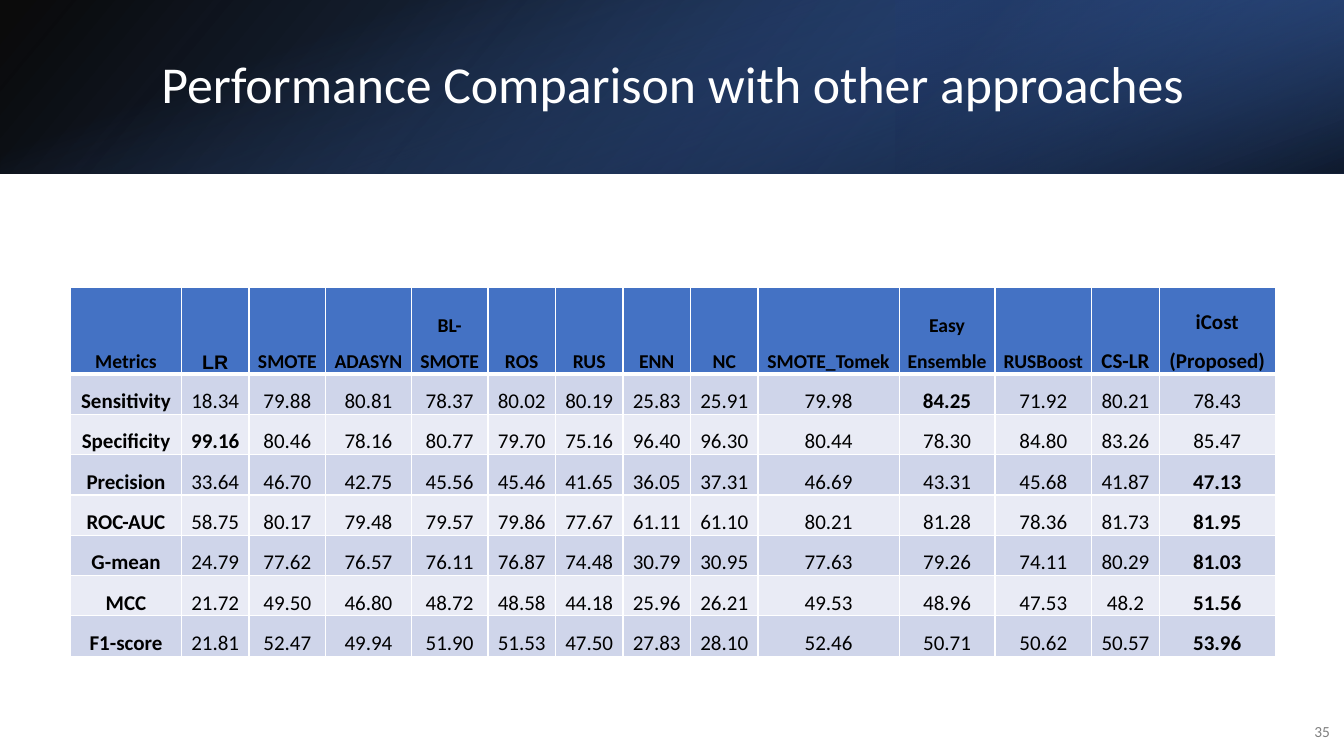
from lxml.etree import SubElement
from pptx import Presentation
from pptx.dml.color import RGBColor
from pptx.enum.shapes import MSO_SHAPE
from pptx.enum.text import MSO_ANCHOR, PP_ALIGN
from pptx.oxml.ns import qn
from pptx.util import Inches, Pt

COLORS = {
    "white": "FFFFFF",
    "black": "000000",
    "gray": "808080",
    "blue": "4472C4",
    "deep_blue": "2F5597",
    "navy": "203864",
    "band_dark": "CFD5EA",
    "band_light": "E9EBF5",
}
SLIDE_WIDTH, SLIDE_HEIGHT = 13.33, 7.5
BANNER_HEIGHT = 1.72

HEADERS = [
    "Metrics", "LR", "SMOTE", "ADASYN", "BL-SMOTE", "ROS", "RUS", "ENN", "NC",
    "SMOTE_Tomek", "Easy Ensemble", "RUSBoost", "CS-LR", "iCost (Proposed)",
]
COLUMN_WIDTHS = [1.1, 0.67, 0.76, 0.85, 0.76, 0.67, 0.67, 0.67, 0.67, 1.4, 0.95, 0.96, 0.67, 1.15]
HEADER_HEIGHT, ROW_HEIGHT = 0.86, 0.4
RESULTS = {
    "Sensitivity": "18.34 79.88 80.81 78.37 80.02 80.19 25.83 25.91 79.98 84.25 71.92 80.21 78.43",
    "Specificity": "99.16 80.46 78.16 80.77 79.70 75.16 96.40 96.30 80.44 78.30 84.80 83.26 85.47",
    "Precision": "33.64 46.70 42.75 45.56 45.46 41.65 36.05 37.31 46.69 43.31 45.68 41.87 47.13",
    "ROC-AUC": "58.75 80.17 79.48 79.57 79.86 77.67 61.11 61.10 80.21 81.28 78.36 81.73 81.95",
    "G-mean": "24.79 77.62 76.57 76.11 76.87 74.48 30.79 30.95 77.63 79.26 74.11 80.29 81.03",
    "MCC": "21.72 49.50 46.80 48.72 48.58 44.18 25.96 26.21 49.53 48.96 47.53 48.2 51.56",
    "F1-score": "21.81 52.47 49.94 51.90 51.53 47.50 27.83 28.10 52.46 50.71 50.62 50.57 53.96",
}


def color(name):
    return RGBColor.from_string(COLORS[name])


def style_paragraph(paragraph, size, color_name, alignment, font_name="Calibri", bold=False):
    paragraph.alignment = alignment
    paragraph.font.size = Pt(size)
    paragraph.font.name = font_name
    paragraph.font.bold = bold
    paragraph.font.color.rgb = color(color_name)


def add_gradient(slide, left, top, width, height, stops, angle, rotation=0, flipped=False):
    shape = slide.shapes.add_shape(
        MSO_SHAPE.RECTANGLE, Inches(left), Inches(top), Inches(width), Inches(height))
    shape.shadow.inherit = False
    shape.line.fill.background()
    shape.rotation = rotation
    if flipped:
        shape.element.spPr.xfrm.set("flipH", "1")
    shape.fill.gradient()
    shape.fill.gradient_angle = 360 - angle
    for stop, (position, color_name, opacity) in zip(shape.fill.gradient_stops, stops):
        stop.position = position / 100
        stop.color.rgb = color(color_name)
    for node, (position, color_name, opacity) in zip(shape.element.spPr.iter(qn("a:srgbClr")), stops):
        SubElement(node, qn("a:alpha"), val=str(opacity * 1000))


def add_banner(slide, left, top, width, height):
    add_gradient(slide, left, top, width, height,
                 [(0, "black", 96), (100, "deep_blue", 100)], 140, flipped=True)
    add_gradient(slide, left + width * 2 / 3, top, width / 3, height,
                 [(19, "navy", 68), (100, "blue", 79)], 320, rotation=180, flipped=True)
    add_gradient(slide, left + (width - height) / 2, top - (width - height) / 2, height, width,
                 [(23, "blue", 0), (99, "black", 74)], 340, rotation=90)


def place_title(slide, left, top, width, height):
    title = slide.shapes.title
    title.left, title.top = Inches(left), Inches(top)
    title.width, title.height = Inches(width), Inches(height)
    title.text_frame.text = "Performance Comparison with other approaches"
    title.text_frame.vertical_anchor = MSO_ANCHOR.MIDDLE
    paragraph = title.text_frame.paragraphs[0]
    style_paragraph(paragraph, 37, "white", PP_ALIGN.LEFT)
    paragraph.line_spacing = 0.9
    slide.shapes.element.append(title.element)


def add_slide_number(slide, left, top, width, height):
    box = slide.shapes.add_textbox(Inches(left), Inches(top), Inches(width), Inches(height))
    frame = box.text_frame
    frame.word_wrap = True
    frame.vertical_anchor = MSO_ANCHOR.MIDDLE
    frame.text = "35"
    style_paragraph(frame.paragraphs[0], 11, "gray", PP_ALIGN.RIGHT)
    frame.paragraphs[0].space_after = Pt(6)


def set_borders(cell, top_width, bottom_width):
    properties = cell._tc.get_or_add_tcPr()
    widths = {"a:lnL": 1, "a:lnR": 1, "a:lnT": top_width, "a:lnB": bottom_width}
    for index, (tag, width) in enumerate(widths.items()):
        line = SubElement(properties, qn(tag), w=str(Pt(width)))
        fill = SubElement(line, qn("a:solidFill"))
        SubElement(fill, qn("a:srgbClr"), val=COLORS["white"])
        properties.insert(index, line)


def fill_cell(cell, text, fill_name, size, bold, font_name="Calibri"):
    cell.fill.solid()
    cell.fill.fore_color.rgb = color(fill_name)
    cell.vertical_anchor = MSO_ANCHOR.BOTTOM
    cell.margin_left = cell.margin_right = cell.margin_top = Inches(0.01)
    cell.margin_bottom = 0
    cell.text_frame.text = text
    paragraph = cell.text_frame.paragraphs[0]
    style_paragraph(paragraph, size, "black", PP_ALIGN.CENTER, font_name, bold)
    paragraph.line_spacing = 1.5


def add_results_table(slide, left, top):
    height = HEADER_HEIGHT + ROW_HEIGHT * len(RESULTS)
    table = slide.shapes.add_table(
        len(RESULTS) + 1, len(HEADERS), Inches(left), Inches(top),
        Inches(sum(COLUMN_WIDTHS)), Inches(height)).table
    for column, width in zip(table.columns, COLUMN_WIDTHS):
        column.width = Inches(width)
    for index, row in enumerate(table.rows):
        row.height = Inches(ROW_HEIGHT if index else HEADER_HEIGHT)
        for cell in row.cells:
            set_borders(cell, 3 if index == 1 else 1, 1 if index else 3)

    for index, header in enumerate(HEADERS):
        size = 15 if header in ("CS-LR", "iCost (Proposed)") else 14
        font_name = "Arial" if header == "LR" else "Calibri"
        fill_cell(table.cell(0, index), header, "blue", size, True, font_name)

    for row_index, (metric, scores) in enumerate(RESULTS.items(), 1):
        values = scores.split()
        best = max(values, key=float)
        fill_name = "band_dark" if row_index % 2 else "band_light"
        for column_index, text in enumerate([metric, *values]):
            fill_cell(table.cell(row_index, column_index), text, fill_name, 15, text in (metric, best))


def main():
    presentation = Presentation()
    presentation.slide_width = Inches(SLIDE_WIDTH)
    presentation.slide_height = Inches(SLIDE_HEIGHT)
    slide = presentation.slides.add_slide(presentation.slide_layouts[5])
    add_banner(slide, 0, 0, SLIDE_WIDTH, BANNER_HEIGHT)
    place_title(slide, 1.5, 0.38, 10.98, 0.96)
    add_slide_number(slide, 12.8, 7.06, 0.49, 0.4)
    add_results_table(slide, 0.7, 2.85)
    presentation.save("out.pptx")


if __name__ == "__main__":
    main()
